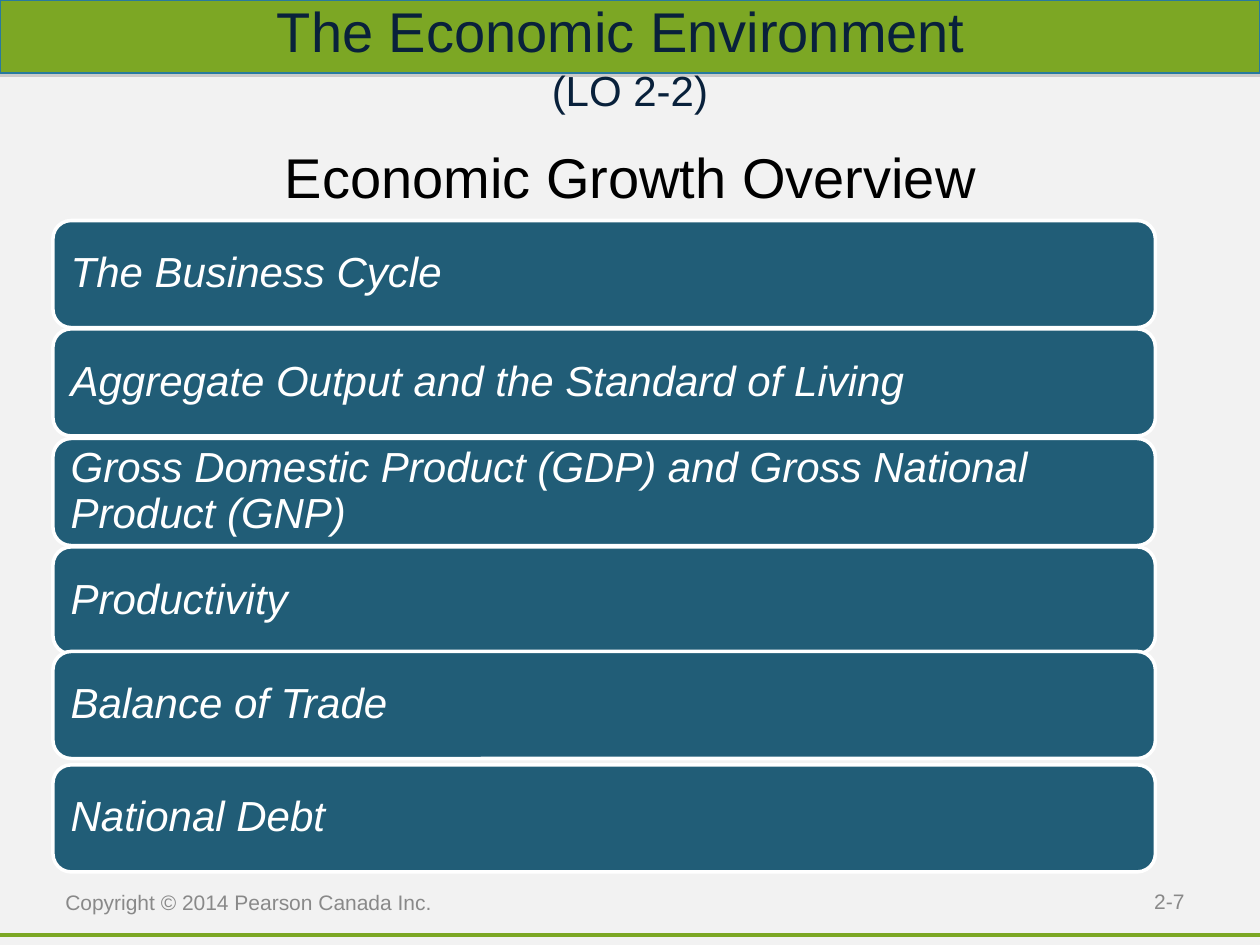
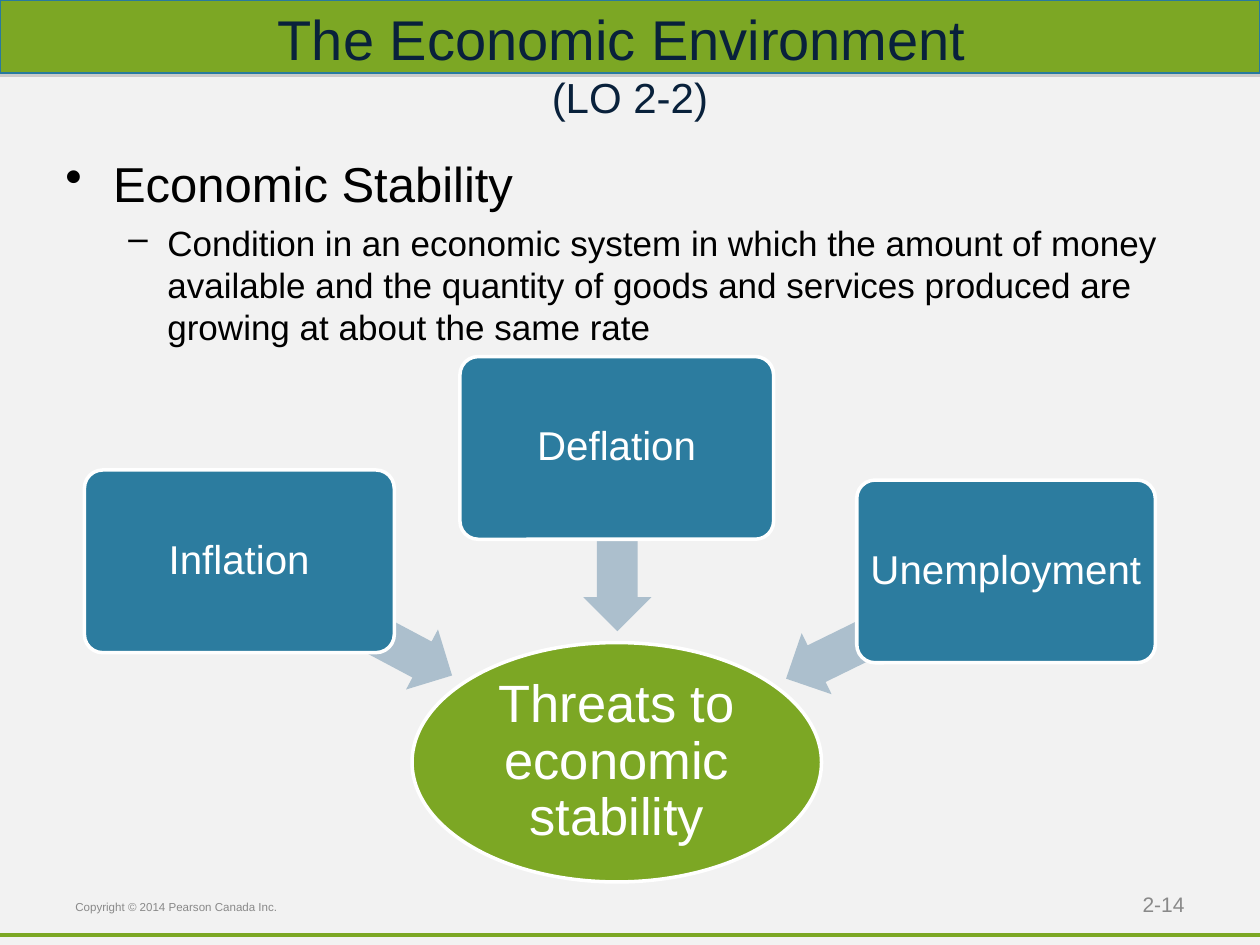
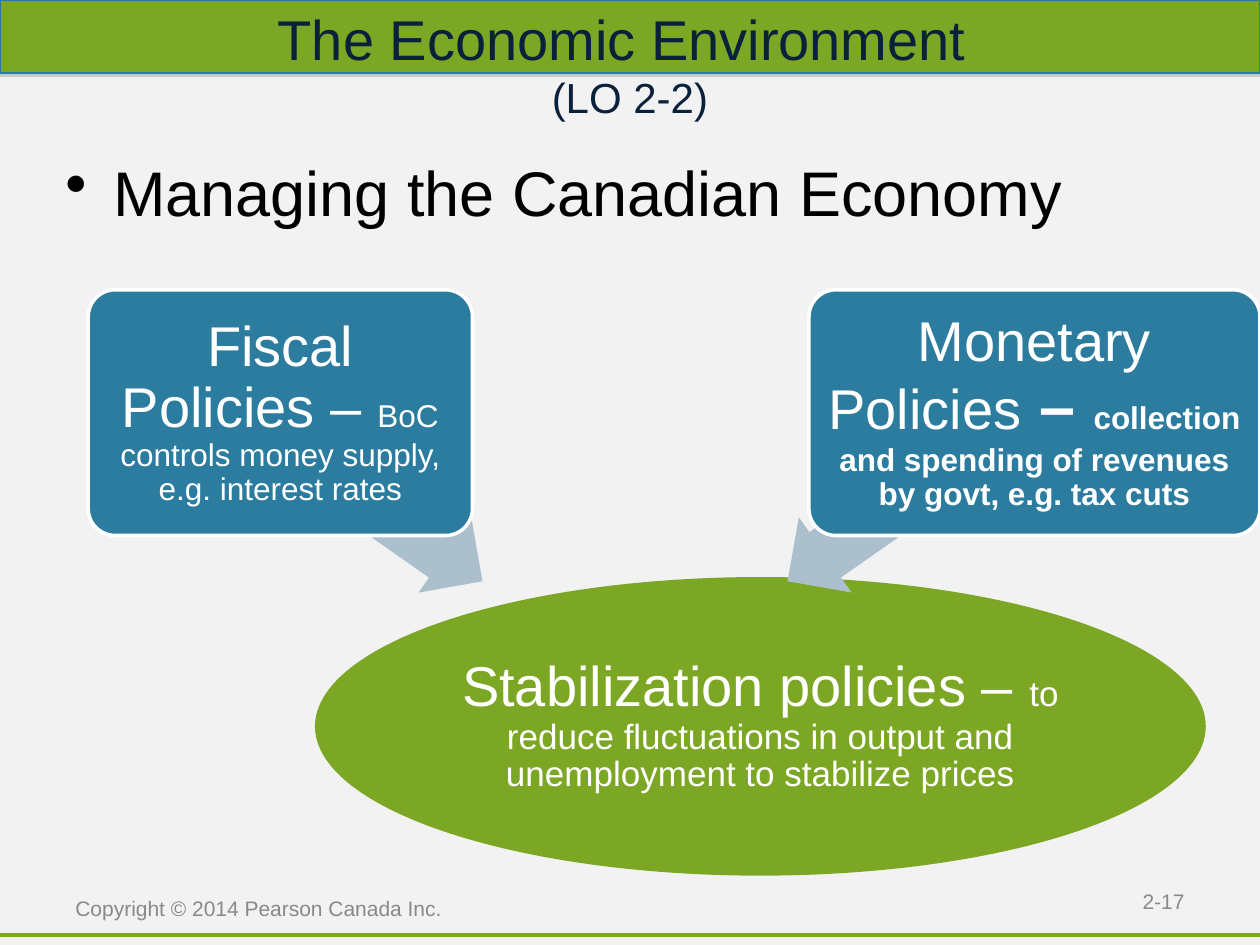
import pptx
import pptx.dml.color
import pptx.enum.shapes
import pptx.enum.text
import pptx.oxml
import pptx.oxml.ns
import pptx.util
from lxml import etree

Inches = pptx.util.Inches
Pt = pptx.util.Pt
SHAPE = pptx.enum.shapes.MSO_SHAPE
ALIGN = pptx.enum.text.PP_ALIGN
ANCHOR = pptx.enum.text.MSO_ANCHOR

FONT = "Arial"
BACKGROUND = "F2F2F2"
GREEN = "7CA724"
BAND_EDGE = "287A9E"
NAVY = "09213B"
TOPIC_BLUE = "215D77"
BOX_BLUE = "2C7C9F"
ARROW_GREY = "ACBFCD"
FOOTER_GREY = "898989"
BLACK = "000000"
WHITE = "FFFFFF"

COPYRIGHT = "Copyright © 2014 Pearson Canada Inc."
BAND_SHADOW = (
    f'<a:effectLst {pptx.oxml.ns.nsdecls("a")}>'
    '<a:outerShdw blurRad="0" dist="22860" dir="5400000" rotWithShape="0">'
    '<a:srgbClr val="808080"><a:alpha val="35000"/></a:srgbClr>'
    '</a:outerShdw></a:effectLst>'
)


def rgb(code):
    return pptx.dml.color.RGBColor.from_string(code)


def inches(values):
    return [Inches(value) for value in values]


def add_run(paragraph, text, size, color, bold=False, italic=False):
    run = paragraph.add_run()
    run.text = text
    font = run.font
    font.name, font.size = FONT, Pt(size)
    font.bold, font.italic = bold, italic
    font.color.rgb = rgb(color)


def set_frame(frame, anchor, horizontal, vertical):
    """Wrap the text and set its anchor and inner margins."""
    frame.word_wrap = True
    frame.vertical_anchor = anchor
    frame.margin_left = frame.margin_right = Inches(horizontal)
    frame.margin_top = frame.margin_bottom = Inches(vertical)


def add_textbox(slide, place, anchor=ANCHOR.TOP, horizontal=0.1, vertical=0.05):
    frame = slide.shapes.add_textbox(*inches(place)).text_frame
    set_frame(frame, anchor, horizontal, vertical)
    return frame


def set_indent(paragraph, left, hanging):
    properties = paragraph._p.get_or_add_pPr()
    properties.set("marL", str(Inches(left)))
    properties.set("indent", str(Inches(-hanging)))
    return properties


def add_bullet(paragraph, symbol, left, hanging):
    properties = set_indent(paragraph, left, hanging)
    bullet = etree.SubElement(properties, pptx.oxml.ns.qn("a:buChar"))
    bullet.set("char", symbol)


def add_filled(slide, kind, place, fill, edge=None, width=2):
    shape = slide.shapes.add_shape(kind, *inches(place))
    shape.shadow.inherit = False
    shape.fill.solid()
    shape.fill.fore_color.rgb = rgb(fill)
    if edge:
        shape.line.color.rgb = rgb(edge)
        shape.line.width = Pt(width)
    else:
        shape.line.fill.background()
    return shape


def write_label(shape, runs, align=ALIGN.CENTER, margin=0.0):
    set_frame(shape.text_frame, ANCHOR.MIDDLE, margin, margin)
    paragraph = shape.text_frame.paragraphs[0]
    paragraph.alignment = align
    paragraph.line_spacing = 0.9
    for text, size, *style in runs:
        add_run(paragraph, text, size, WHITE, *style)


def add_card(slide, place, fill, corner, runs, align=ALIGN.CENTER, margin=0.05):
    """Add a rounded box with a white edge; corner is a share of its short side."""
    card = add_filled(slide, SHAPE.ROUNDED_RECTANGLE, place, fill, WHITE)
    card.adjustments[0] = corner
    write_label(card, runs, align, margin)


def add_oval(slide, place, runs, edge=None):
    write_label(add_filled(slide, SHAPE.OVAL, place, GREEN, edge), runs)


def add_arrow(slide, place, rotation):
    arrow = add_filled(slide, SHAPE.LEFT_ARROW, place, ARROW_GREY)
    arrow.adjustments[0], arrow.adjustments[1] = 0.6, 0.5
    arrow.rotation = rotation


def add_base(deck, title_height, gap_size):
    """Add a slide with the footer rule, the green band and the title."""
    slide = deck.slides.add_slide(deck.slide_layouts[6])
    slide.background.fill.solid()
    slide.background.fill.fore_color.rgb = rgb(BACKGROUND)

    rule = slide.shapes.add_connector(
        pptx.enum.shapes.MSO_CONNECTOR.STRAIGHT, *inches((0, 7.42, 10, 7.42)))
    rule.line.color.rgb = rgb(GREEN)
    rule.line.width = Pt(2)
    etree.SubElement(rule._element.spPr, pptx.oxml.ns.qn("a:effectLst"))

    band = add_filled(slide, SHAPE.RECTANGLE, (0, 0, 10, 0.58), GREEN, BAND_EDGE, 0.75)
    properties = band._element.spPr
    properties.remove(properties.find(pptx.oxml.ns.qn("a:effectLst")))
    properties.append(pptx.oxml.parse_xml(BAND_SHADOW))

    frame = add_textbox(slide, (0, 0, 10, title_height), ANCHOR.MIDDLE, 0.25, 0.25)
    title = frame.paragraphs[0]
    title.alignment = ALIGN.CENTER
    add_run(title, "The Economic Environment", 32, NAVY)
    add_run(title, " ", gap_size, NAVY)
    title.add_line_break()
    add_run(title, "(LO 2-2)", 24, NAVY)
    return slide


def add_footer(slide, copyright_place, copyright_size, number, number_place):
    parts = (
        (COPYRIGHT, copyright_place, copyright_size, ALIGN.LEFT),
        (number, number_place, 12, ALIGN.RIGHT),
    )
    for text, place, size, align in parts:
        paragraph = add_textbox(slide, place, ANCHOR.MIDDLE).paragraphs[0]
        paragraph.alignment = align
        add_run(paragraph, text, size, FOOTER_GREY)


def add_heading(slide, place, text, size):
    """Add a bulleted heading and return its text frame."""
    frame = add_textbox(slide, place)
    heading = frame.paragraphs[0]
    add_bullet(heading, "•", 0.38, 0.38)
    add_run(heading, text, size, BLACK)
    return frame


def build_growth(deck):
    slide = add_base(deck, 0.83, 36)
    overview = add_textbox(slide, (0.42, 1.08, 8.67, 0.67)).paragraphs[0]
    overview.alignment = ALIGN.CENTER
    set_indent(overview, 0.81, 0.31)
    add_run(overview, "Economic Growth Overview", 32, BLACK)
    add_footer(slide, (0.42, 7, 3.67, 0.32), 12, "2-7", (7.17, 6.95, 2.33, 0.4))

    topics = (
        (1.75, "The Business Cycle"),
        (2.61, "Aggregate Output and the Standard of Living"),
        (3.48, "Gross Domestic Product (GDP) and Gross National Product (GNP)"),
        (4.34, "Productivity"),
        (5.17, "Balance of Trade"),
        (6.07, "National Debt"),
    )
    for top, topic in topics:
        add_card(slide, (0.42, top, 8.75, 0.85), TOPIC_BLUE, 0.17,
                 [(topic, 24, False, True)], ALIGN.LEFT, 0.1)


def build_stability(deck):
    slide = add_base(deck, 1, 32)
    frame = add_heading(slide, (0.42, 1.17, 9.17, 1.75), "Economic Stability", 28)
    definition = frame.add_paragraph()
    add_bullet(definition, "–", 0.81, 0.31)
    definition.space_before = Pt(5)
    add_run(definition, "Condition in an economic system in which the amount of money "
            "available and the quantity of goods and services produced are growing "
            "at about the same rate", 20, BLACK)
    add_footer(slide, (0.5, 7.08, 3.25, 0.23), 6.6, "2-14", (7.17, 7, 2.33, 0.35))

    add_oval(slide, (3.27, 5.1, 3.25, 1.9),
             [("Threats to economic stability", 30)], WHITE)
    threats = (
        ("Inflation", (0.67, 3.73, 2.46, 1.45), (1.78, 4.64, 1.92, 0.54), 208),
        ("Deflation", (3.65, 2.83, 2.49, 1.45), (4.17, 4.01, 1.46, 0.54), 270),
        ("Unemployment", (6.8, 3.81, 2.37, 1.45), (6.14, 4.69, 1.94, 0.54), 333.9),
    )
    for threat, place, arrow_place, rotation in threats:
        add_arrow(slide, arrow_place, rotation)
        add_card(slide, place, BOX_BLUE, 0.1, [(threat, 23)])


def build_policies(deck):
    slide = add_base(deck, 1, 32)
    add_heading(slide, (0.42, 1.17, 9.17, 1.25), "Managing the Canadian Economy", 36)
    add_footer(slide, (0.5, 6.92, 3.17, 0.58), 12, "2-17", (7.17, 6.95, 2.33, 0.4))

    add_oval(slide, (2.5, 4.58, 7.07, 2.37), [
        ("Stabilization policies – ", 32),
        ("to reduce fluctuations in output and unemployment to stabilize prices", 20),
    ])
    fiscal = [
        ("Fiscal Policies – ", 32),
        ("BoC controls money supply, e.g. interest rates", 18),
    ]
    monetary = [
        ("Monetary Policies", 32),
        (" – ", 37, True),
        ("collection and spending of revenues by govt, e.g. tax cuts", 18, True),
    ]
    policies = ((fiscal, 0.7, 3.05, 1.71, 215), (monetary, 6.42, 3.58, 6.04, 325))
    for runs, left, width, arrow_left, rotation in policies:
        add_arrow(slide, (arrow_left, 3.58, 2.33, 0.73), rotation)
        add_card(slide, (left, 2.3, width, 1.95), BOX_BLUE, 0.11, runs, margin=0.07)


def main():
    deck = pptx.Presentation()
    deck.slide_width, deck.slide_height = Inches(10), Inches(7.5)
    build_growth(deck)
    build_stability(deck)
    build_policies(deck)
    deck.save("out.pptx")


if __name__ == "__main__":
    main()
